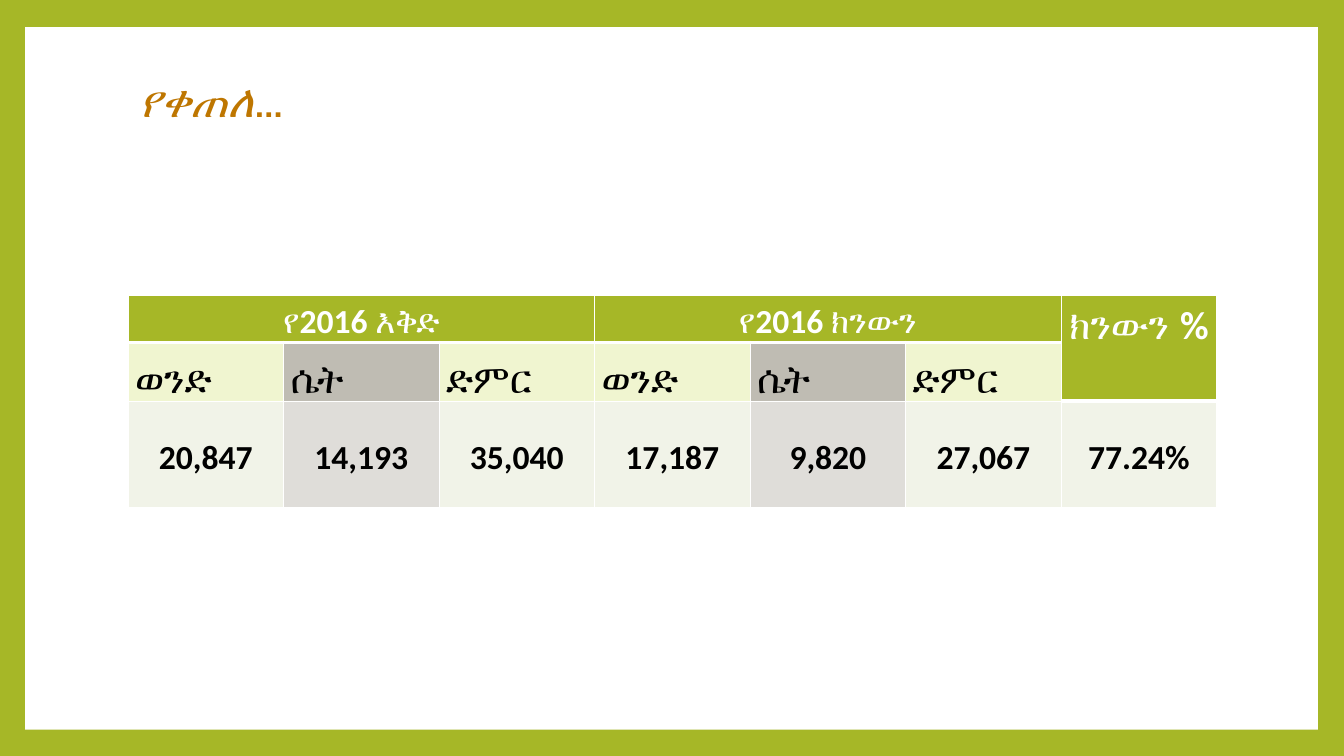
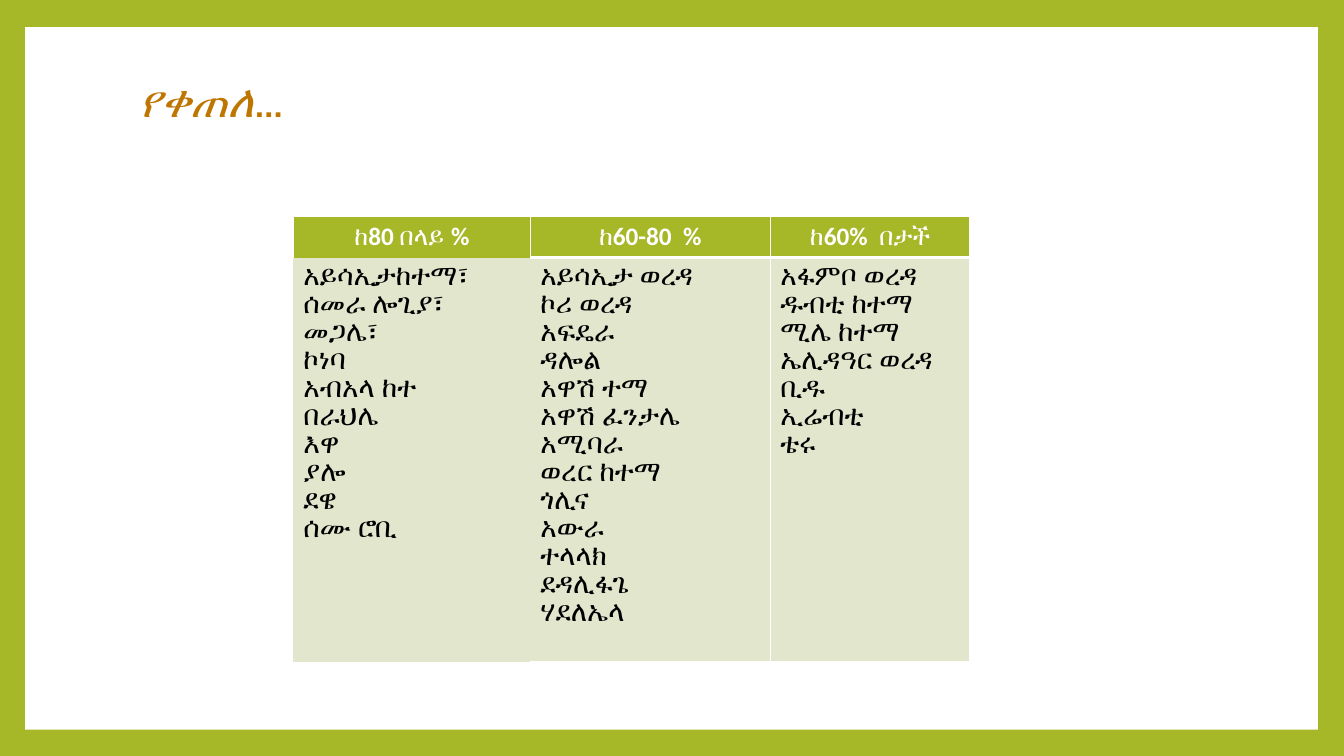
from dataclasses import dataclass

from lxml import etree
from pptx import Presentation
from pptx.dml.color import RGBColor
from pptx.enum import shapes, text
from pptx.oxml import ns
from pptx.util import Inches, Pt


@dataclass(frozen=True)
class Theme:
    font: str = "Calibri"
    green: str = "A6B727"
    white: str = "FFFFFF"
    black: str = "000000"
    title: str = "BE7600"
    pale_green: str = "F0F5D0"
    grey: str = "BFBCB3"
    pale: str = "F1F3E8"
    pale_grey: str = "DFDDD9"
    sage: str = "E1E6CD"
    title_size: int = 32
    label_size: int = 28
    figure_size: int = 24
    list_size: int = 20
    heading_size: int = 18


THEME = Theme()
PLAIN_TABLE = "{2D5ABB26-0587-4C30-8999-92F81FD0307C}"
THIN_GRID = {"L": 1, "R": 1, "T": 1, "B": 1}
HEADER_GRID = {**THIN_GRID, "B": 3}
CENTER = text.PP_ALIGN.CENTER
JUSTIFY = text.PP_ALIGN.JUSTIFY

TITLE_BOX = (1.27, 0.66, 10.8, 0.72)
PANEL_BOX = (0.25, 0.27, 12.82, 6.97)

GROUPS = ["የ2016 እቅድ", "የ2016 ክንውን"]
RATE_LABEL = "ክንውን %"
SEXES = ["ወንድ", "ሴት", "ድምር"]
FIGURES = ["20,847", "14,193", "35,040", "17,187", "9,820", "27,067", "77.24%"]

BANDS = {
    "ከ80 በላይ %": [
        "አይሳኢታከተማ፣", "ሰመራ ሎጊያ፣", "መጋሌ፣", "ኮነባ", "አብአላ ከተ",
        "በራህሌ", "እዋ", "ያሎ", "ደዌ", "ሰሙ ሮቢ",
    ],
    "ከ60-80  %": [
        "አይሳኢታ ወረዳ", "ኮሪ ወረዳ", "አፍዴራ", "ዳሎል", "አዋሽ ተማ",
        "አዋሽ ፈንታሌ", "አሚባራ", "ወረር ከተማ", "ጎሊና", "አውራ",
        "ተላላክ", "ደዳሊፋጌ", "ሃደለኤላ",
    ],
    "ከ60%  በታች": [
        "አፋምቦ ወረዳ", "ዱብቲ ከተማ", "ሚሌ ከተማ", "ኤሊዳዓር ወረዳ",
        "ቢዱ", "ኢሬብቲ", "ቴሩ",
    ],
}


def rgb(color):
    return RGBColor.from_string(color)


def inches(box):
    return [Inches(length) for length in box]


def style_font(font, size, color, bold=None):
    font.name = THEME.font
    font.size = Pt(size)
    font.color.rgb = rgb(color)
    font.bold = bold


def add_frame(deck, page):
    master = deck.slide_master
    master.background.fill.solid()
    master.background.fill.fore_color.rgb = rgb(THEME.green)
    panel = page.shapes.add_shape(shapes.MSO_SHAPE.RECTANGLE, *inches(PANEL_BOX))
    panel.shadow.inherit = False
    panel.fill.solid()
    panel.fill.fore_color.rgb = rgb(THEME.white)
    panel.line.fill.background()
    panel.element.nvSpPr.cNvPr.set("id", "20")
    master.shapes.element.insert(2, panel.element)


def add_title(page, box):
    title = page.shapes.title
    title.left, title.top, title.width, title.height = inches(box)
    frame = title.text_frame
    frame.auto_size = text.MSO_AUTO_SIZE.NONE
    frame.vertical_anchor = text.MSO_ANCHOR.MIDDLE
    para = frame.paragraphs[0]
    para.alignment = text.PP_ALIGN.LEFT
    para.line_spacing = 0.9
    style_font(para.font, THEME.title_size, THEME.title)
    for words, strong in (("የቀጠለ", True), ("…", False)):
        span = para.add_run()
        span.text = words
        span.font.bold = span.font.italic = strong


def add_grid(page, left, top, widths, heights):
    box = inches((left, top, sum(widths), sum(heights)))
    table = page.shapes.add_table(len(heights), len(widths), *box).table
    table.horz_banding = False
    table._tbl.tblPr.find(ns.qn("a:tableStyleId")).text = PLAIN_TABLE
    for column, width in zip(table.columns, widths):
        column.width = Inches(width)
    for row, height in zip(table.rows, heights):
        row.height = Inches(height)
    return table


def style_cell(cell, fill, edges):
    properties = cell._tc.get_or_add_tcPr()
    for side in "LRTB":
        if side in edges:
            line = etree.SubElement(
                properties, ns.qn("a:ln" + side), w=str(Pt(edges[side]))
            )
            paint = etree.SubElement(line, ns.qn("a:solidFill"))
            etree.SubElement(paint, ns.qn("a:srgbClr"), val=THEME.white)
    cell.fill.solid()
    cell.fill.fore_color.rgb = rgb(fill)


def write_cell(cell, words, size, color, bold, align, spacing=None):
    cell.text = words
    for para in cell.text_frame.paragraphs:
        para.alignment = align
        para.line_spacing = spacing
        style_font(para.font, size, color, bold)


def add_results_table(page, left, top):
    count = len(FIGURES)
    last = count - 1
    table = add_grid(page, left, top, [10.8 / count] * count, [0.34, 0.49, 1.06])
    for row in range(3):
        for column in range(count):
            cell = table.cell(row, column)
            cell.margin_left = cell.margin_right = Inches(0.07)
            cell.margin_top = cell.margin_bottom = 0
            shaded = column % len(SEXES) == 1
            if row == 0 or (row == 1 and column == last):
                style_cell(cell, THEME.green, HEADER_GRID)
            elif row == 1:
                style_cell(cell, THEME.grey if shaded else THEME.pale_green, THIN_GRID)
                write_cell(cell, SEXES[column % len(SEXES)], THEME.label_size,
                           THEME.black, False, JUSTIFY, 1.5)
            else:
                style_cell(cell, THEME.pale_grey if shaded else THEME.pale, THIN_GRID)
                write_cell(cell, FIGURES[column], THEME.figure_size,
                           THEME.black, True, CENTER, 1.15)
                cell.vertical_anchor = text.MSO_ANCHOR.MIDDLE
    for index, group in enumerate(GROUPS):
        first = index * len(SEXES)
        table.cell(0, first).merge(table.cell(0, first + len(SEXES) - 1))
        write_cell(table.cell(0, first), group, THEME.figure_size,
                   THEME.white, True, CENTER, 1.15)
    table.cell(0, last).merge(table.cell(1, last))
    write_cell(table.cell(0, last), RATE_LABEL, THEME.label_size,
               THEME.white, True, CENTER, 1.15)


def add_bands_table(page, left, top):
    table = add_grid(page, left, top, [2.35, 2.38, 1.98], [0.39, 4.01])
    header_edges = [{"L": 1, "T": 1, "R": 1}, HEADER_GRID, HEADER_GRID]
    body_edges = [{}, {"T": 1, "R": 1, "B": 1}, THIN_GRID]
    for column, (heading, places) in enumerate(BANDS.items()):
        header, body = table.cell(0, column), table.cell(1, column)
        style_cell(header, THEME.green, header_edges[column])
        write_cell(header, heading, THEME.heading_size, THEME.white, True, CENTER)
        style_cell(body, THEME.sage, body_edges[column])
        write_cell(body, "\n".join(places), THEME.list_size,
                   THEME.black, False, JUSTIFY)


def main():
    deck = Presentation()
    deck.slide_width, deck.slide_height = Inches(13.33), Inches(7.5)
    layout = deck.slide_layouts.get_by_name("Title Only")
    results, bands = [deck.slides.add_slide(layout) for _ in range(2)]
    add_frame(deck, results)
    for page in (results, bands):
        add_title(page, TITLE_BOX)
    add_results_table(results, 1.27, 2.93)
    add_bands_table(bands, 2.91, 2.15)
    deck.save("out.pptx")


if __name__ == "__main__":
    main()
